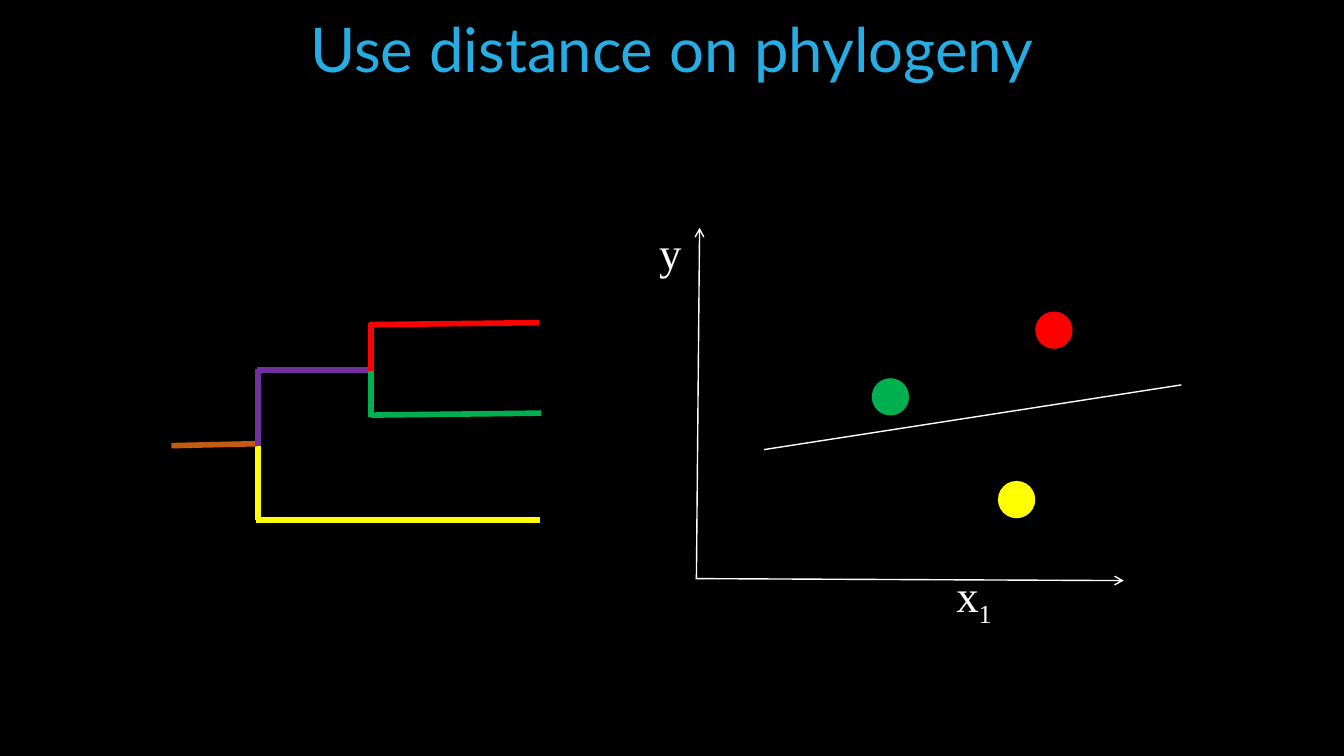
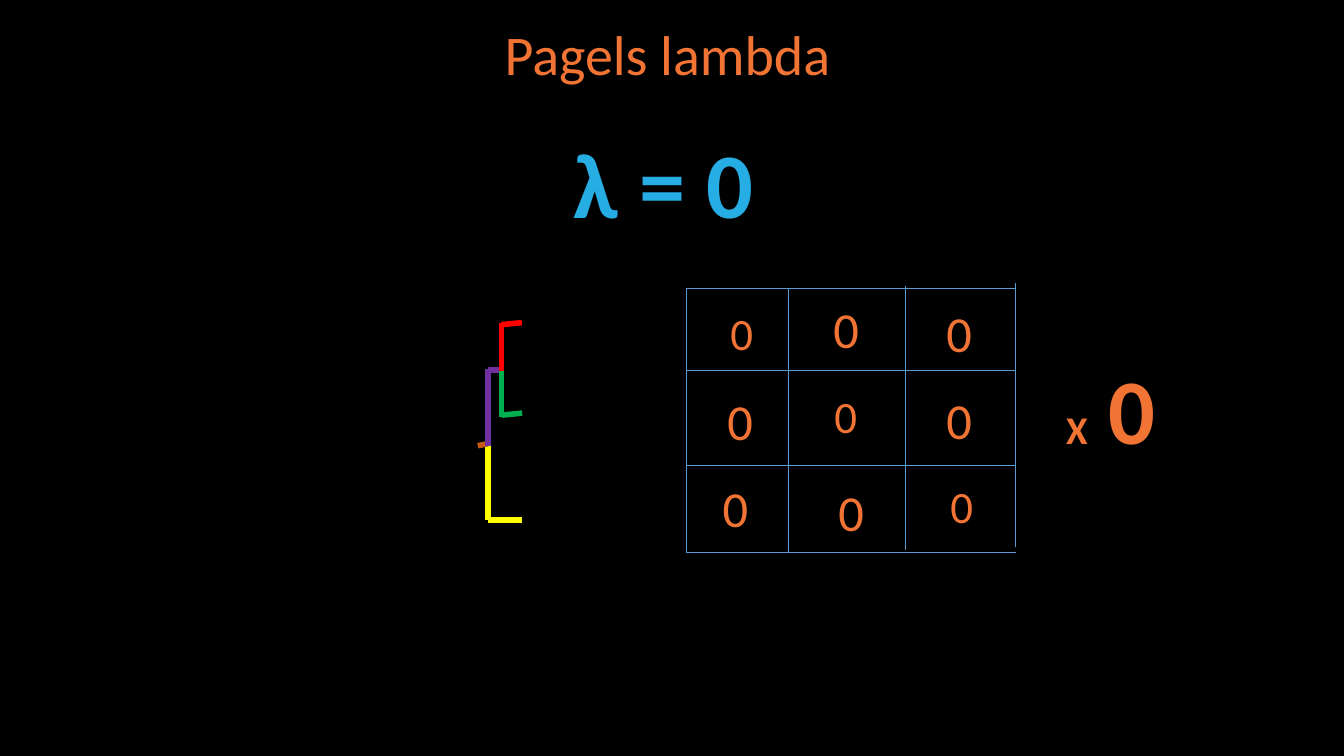
from typing import NamedTuple

from lxml import etree
from pptx import Presentation
from pptx import util as u
from pptx.dml.color import RGBColor
from pptx.enum import shapes, text
from pptx.oxml.ns import qn

BLACK, WHITE = "000000", "FFFFFF"
BLUE, ORANGE, GRID_BLUE = "26ADE4", "F27435", "5B9BD5"
RED, GREEN, YELLOW = "FF0000", "00B050", "FFFF00"
PURPLE, BROWN = "7030A0", "C55A11"
SERIF, SANS, TITLE = "Times New Roman", "Calibri", "Lato"


class Line(NamedTuple):
    x1: float
    y1: float
    x2: float
    y2: float
    color: str
    width: float = 1
    arrow: str = ""


class Run(NamedTuple):
    text: str
    size: float | None = None
    baseline: int = 0


class Label(NamedTuple):
    x: float
    y: float
    w: float
    h: float
    runs: tuple[Run, ...]
    size: float
    color: str
    font: str = SANS
    bold: bool = False
    wrap: bool = False
    centered: bool = False


class Dot(NamedTuple):
    x: float
    y: float
    color: str


class Zero(NamedTuple):
    x: float
    y: float
    size: int


BRANCHES = [
    Line(9.3, 8.18, 13.59, 8.13, RED, 4),
    Line(9.35, 10.46, 13.64, 10.41, GREEN, 4),
    Line(6.48, 9.32, 9.35, 9.32, PURPLE, 4),
    Line(6.5, 13.11, 6.5, 11.18, YELLOW, 4),
    Line(6.45, 13.11, 13.61, 13.11, YELLOW, 4),
    Line(4.32, 11.23, 6.48, 11.18, BROWN, 4),
    Line(9.35, 9.35, 9.35, 8.15, RED, 4),
    Line(9.35, 10.52, 9.35, 9.35, GREEN, 4),
    Line(6.5, 11.23, 6.5, 9.3, PURPLE, 4),
]
TREE_LEFT = 4.32

DOT_SIZE = 0.94
DOTS = [Dot(26.09, 7.85, RED), Dot(25.15, 12.12, YELLOW), Dot(21.97, 9.53, GREEN)]
PLOT_LINES = [
    Line(17.63, 5.74, 17.55, 14.58, WHITE, arrow="headEnd"),
    Line(17.53, 14.58, 28.32, 14.63, WHITE, arrow="tailEnd"),
    Line(19.25, 11.33, 29.77, 9.7, WHITE),
]
PLOT_LABELS = [
    Label(16.36, 5.54, 1.09, 1.63, (Run("y"),), 32, WHITE, SERIF),
    Label(23.85, 14.17, 1.5, 1.63, (Run("x"), Run("1", baseline=-25000)), 32, WHITE, SERIF),
    Label(0, 0.15, 33.87, 2.13, (Run("Use distance on phylogeny"),), 44, BLUE, TITLE,
          wrap=True, centered=True),
]

GRID_LEFT, GRID_RIGHT = 17.3, 25.6
GRID_ROWS = [7.26, 9.32, 11.73, 13.92]
GRID_COLUMNS = [(17.3, 0), (19.86, 0), (22.81, 0.06), (25.6, 0.13)]
ZERO_BOX = {32: (1.09, 1.63), 36: (1.17, 1.8)}
ZEROS = [
    Zero(18.16, 7.59, 32), Zero(20.75, 7.39, 36), Zero(23.6, 7.49, 36),
    Zero(18.08, 9.7, 36), Zero(20.78, 9.68, 32), Zero(23.6, 9.68, 36),
    Zero(17.96, 11.89, 36), Zero(20.88, 11.99, 36), Zero(23.7, 11.94, 32),
]
LAMBDA_LABELS = [
    Label(12.47, 0.38, 8.79, 1.96, (Run("Pagels lambda"),), 40, ORANGE),
    Label(26.62, 8.76, 2.79, 3.07, (Run("X", 28), Run(" 0", 66)), 66, ORANGE, bold=True),
    Label(14.2, 3.05, 5.08, 3.07, (Run("λ = 0"),), 66, BLUE, bold=True),
]


def rgb(value: str) -> RGBColor:
    return RGBColor.from_string(value)


def draw_line(target, line: Line) -> None:
    c = target.add_connector(
        shapes.MSO_CONNECTOR.STRAIGHT,
        u.Cm(line.x1), u.Cm(line.y1), u.Cm(line.x2), u.Cm(line.y2),
    )
    c.line.color.rgb = rgb(line.color)
    c.line.width = u.Pt(line.width)
    if line.arrow:
        etree.SubElement(c.line._get_or_add_ln(), qn(f"a:{line.arrow}"), type="arrow")
    etree.SubElement(c._element.spPr, qn("a:effectLst"))


def draw_label(s, label: Label) -> None:
    sp = s.shapes.add_textbox(u.Cm(label.x), u.Cm(label.y), u.Cm(label.w), u.Cm(label.h))
    tf = sp.text_frame
    tf.word_wrap = label.wrap
    tf.auto_size = text.MSO_AUTO_SIZE.SHAPE_TO_FIT_TEXT
    p = tf.paragraphs[0]
    if label.centered:
        p.alignment = text.PP_ALIGN.CENTER
    p.font.name = label.font
    p.font.size = u.Pt(label.size)
    p.font.bold = label.bold
    p.font.color.rgb = rgb(label.color)
    for run in label.runs:
        r = p.add_run()
        r.text = run.text
        if run.size:
            r.font.size = u.Pt(run.size)
        if run.baseline:
            r.font._element.set("baseline", str(run.baseline))


def draw_dot(s, dot: Dot) -> None:
    sp = s.shapes.add_shape(
        shapes.MSO_SHAPE.OVAL, u.Cm(dot.x), u.Cm(dot.y), u.Cm(DOT_SIZE), u.Cm(DOT_SIZE)
    )
    sp.shadow.inherit = False
    sp.fill.solid()
    sp.fill.fore_color.rgb = rgb(dot.color)
    sp.line.fill.background()


def draw_tree(s, left: float = TREE_LEFT, stretch: float = 1) -> None:
    tree = s.shapes.add_group_shape()
    for b in BRANCHES:
        x1, x2 = (left + (x - TREE_LEFT) * stretch for x in (b.x1, b.x2))
        draw_line(tree.shapes, b._replace(x1=x1, x2=x2))


def draw_matrix(s) -> None:
    for x, rise in GRID_COLUMNS:
        draw_line(s.shapes, Line(x, GRID_ROWS[-1] - rise, x, GRID_ROWS[0] - rise, GRID_BLUE, 0.5))
    for y in GRID_ROWS:
        draw_line(s.shapes, Line(GRID_LEFT, y, GRID_RIGHT, y, GRID_BLUE, 0.5))
    for z in ZEROS:
        draw_label(s, Label(z.x, z.y, *ZERO_BOX[z.size], (Run("0"),), z.size, ORANGE))


def add_distance_slide(prs) -> None:
    s = prs.slides.add_slide(prs.slide_layouts[6])
    for line in PLOT_LINES:
        draw_line(s.shapes, line)
    for dot in DOTS:
        draw_dot(s, dot)
    for label in PLOT_LABELS:
        draw_label(s, label)
    draw_tree(s)


def add_lambda_slide(prs) -> None:
    s = prs.slides.add_slide(prs.slide_layouts[6])
    draw_tree(s, left=12.04, stretch=0.12)
    draw_matrix(s)
    for label in LAMBDA_LABELS:
        draw_label(s, label)


def main() -> None:
    prs = Presentation()
    prs.slide_width, prs.slide_height = u.Cm(33.87), u.Cm(19.05)
    fill = prs.slide_master.background.fill
    fill.solid()
    fill.fore_color.rgb = rgb(BLACK)
    add_distance_slide(prs)
    add_lambda_slide(prs)
    prs.save("out.pptx")


if __name__ == "__main__":
    main()
